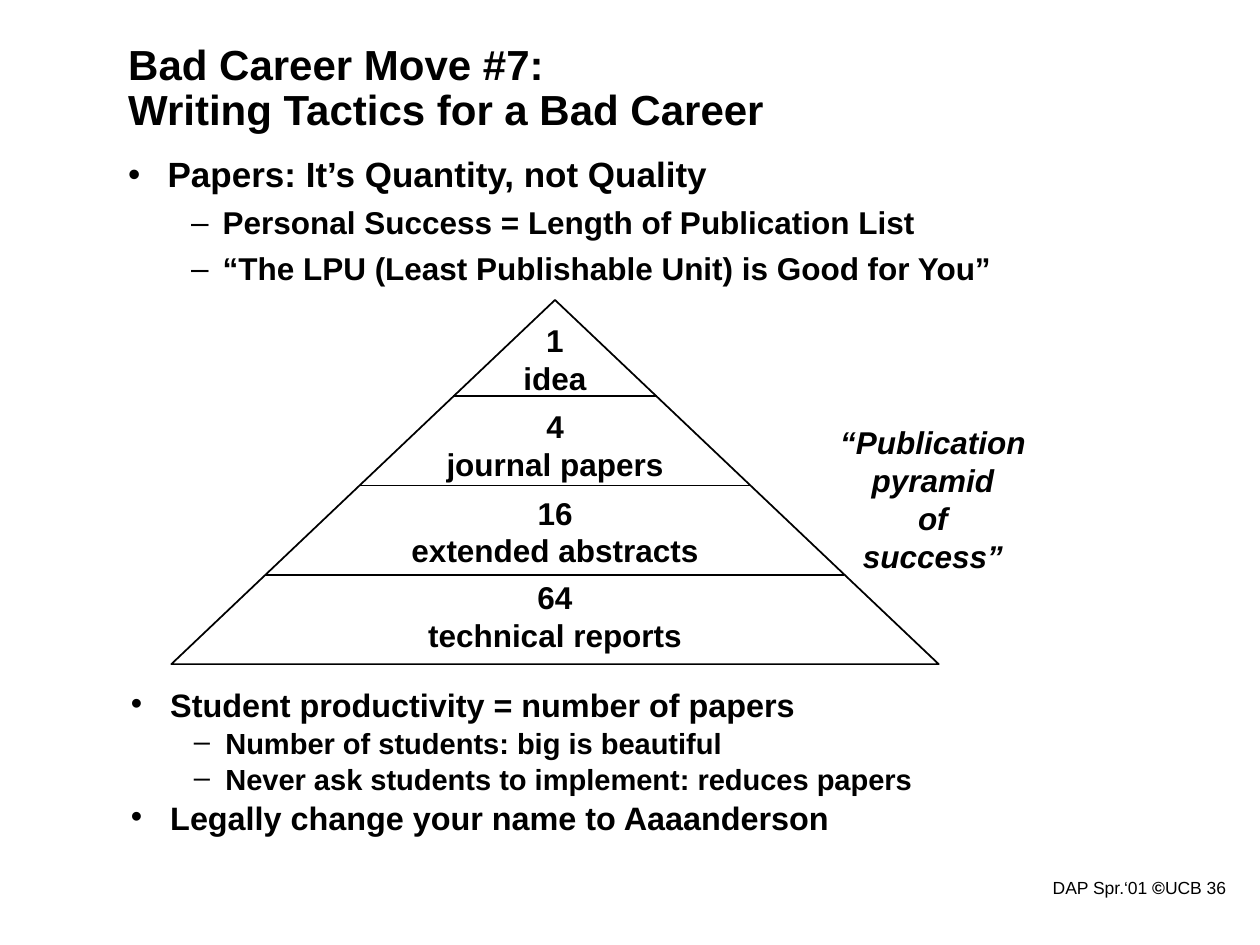
import pptx
import pptx.util
import pptx.dml.color
import pptx.enum.text
import pptx.enum.shapes
import pptx.oxml
import pptx.oxml.xmlchemy

Pt = pptx.util.Pt
Align = pptx.enum.text.PP_ALIGN
Anchor = pptx.enum.text.MSO_ANCHOR
Fit = pptx.enum.text.MSO_AUTO_SIZE
COLORS = {"ink": "000000", "paper": "FFFFFF"}
LEVELS = [
    {"mark": "•", "left": 22.5, "hang": -22.5, "gap": 7.5},
    {"mark": "–", "left": 54, "hang": -18, "gap": 6.8},
]
PEAK = {"left": 97.9, "top": 171.4, "width": 438.5, "height": 208.1}
TIERS = [
    (["1", "idea"], 180, 52),
    (["4", "journal papers"], 229, 142),
    (["16", "extended abstracts"], 278.6, 182),
    (["64", "technical reports"], 326.9, 164),
]
CUTS = [226.5, 277.4, 328.4]


def color(name):
    return pptx.dml.color.RGBColor.from_string(COLORS[name])


def write(para, text, size=18, bold=True, italic=False):
    run = para.add_run()
    run.text = text
    font = run.font
    font.name = "Arial"
    font.size = Pt(size)
    font.bold = bold
    font.italic = italic
    font.color.rgb = color("ink")


def add_box(slide, left, top, width, height, wrap=True):
    box = slide.shapes.add_textbox(Pt(left), Pt(top), Pt(width), Pt(height))
    frame = box.text_frame
    frame.word_wrap = wrap
    if not wrap:
        frame.auto_size = Fit.SHAPE_TO_FIT_TEXT
    return frame


def next_para(frame, index):
    return frame.add_paragraph() if index else frame.paragraphs[0]


def add_title(slide, lines):
    frame = add_box(slide, 66.2, 36, 594, 30.2)
    frame.vertical_anchor = Anchor.MIDDLE
    para = frame.paragraphs[0]
    para.line_spacing = 0.9
    for index, line in enumerate(lines):
        if index:
            para.add_line_break()
        write(para, line, size=24)


def add_label(slide, lines, left, top, width, height, italic=False):
    frame = add_box(slide, left, top, width, height, wrap=False)
    for index, line in enumerate(lines):
        para = next_para(frame, index)
        para.alignment = Align.CENTER
        write(para, line, italic=italic)


def set_mark(para, style):
    props = para._p.get_or_add_pPr()
    props.set("marL", str(Pt(style["left"])))
    props.set("indent", str(Pt(style["hang"])))
    for tag, key, value in (("a:buFont", "typeface", "Arial"),
                            ("a:buChar", "char", style["mark"])):
        item = pptx.oxml.xmlchemy.OxmlElement(tag)
        item.set(key, value)
        props.append(item)


def add_list(slide, rows, left, top, width, height, sizes, pitch):
    frame = add_box(slide, left, top, width, height)
    for index, (level, text) in enumerate(rows):
        para = next_para(frame, index)
        para.level = level
        para.line_spacing = pitch
        para.space_before = Pt(LEVELS[level]["gap"])
        set_mark(para, LEVELS[level])
        write(para, text, size=sizes[level])


def set_line(shape):
    shape.line.color.rgb = color("ink")
    shape.line.width = Pt(1)


def add_rule(slide, start, end, y):
    kind = pptx.enum.shapes.MSO_CONNECTOR.STRAIGHT
    rule = slide.shapes.add_connector(kind, Pt(start), Pt(y), Pt(end), Pt(y))
    set_line(rule)
    rule._element.spPr.append(pptx.oxml.xmlchemy.OxmlElement("a:effectLst"))


def add_peak(slide):
    kind = pptx.enum.shapes.MSO_SHAPE.ISOSCELES_TRIANGLE
    sides = [Pt(PEAK[key]) for key in ("left", "top", "width", "height")]
    peak = slide.shapes.add_shape(kind, *sides)
    peak.shadow.inherit = False
    peak.fill.solid()
    peak.fill.fore_color.rgb = color("paper")
    set_line(peak)
    mid = PEAK["left"] + PEAK["width"] / 2
    for y in CUTS:
        half = PEAK["width"] / 2 * (y - PEAK["top"]) / PEAK["height"]
        add_rule(slide, mid - half, mid + half, y)
    for lines, top, width in TIERS:
        add_label(slide, lines, mid - width / 2, top, width, 50.4)


def add_footer(slide):
    frame = add_box(slide, 559.4, 497.5, 148.3, 18.7, wrap=False)
    para = frame.paragraphs[0]
    para.alignment = Align.RIGHT
    for text, bold in (("DAP Spr.‘01 ", False), ("©", True), ("UCB 36", False)):
        write(para, text, size=10, bold=bold)


def main():
    deck = pptx.Presentation()
    deck.slide_width, deck.slide_height = Pt(720), Pt(540)
    slide = deck.slides.add_slide(deck.slide_layouts[6])
    add_footer(slide)
    add_title(slide, ["Bad Career Move #7:", "Writing Tactics for a Bad Career"])
    add_list(slide, [
        (0, "Student productivity = number of papers"),
        (1, "Number of students: big is beautiful"),
        (1, "Never ask students to implement: reduces papers"),
        (0, "Legally change your name to Aaaanderson"),
    ], 67.7, 393.8, 611.3, 92.2, sizes=(18.5, 16.6), pitch=0.7)
    add_peak(slide)
    add_label(slide, ["“Publication ", "pyramid ", "of ", "success” "],
              473, 238.3, 125.3, 93.6, italic=True)
    add_list(slide, [
        (0, "Papers: It’s Quantity, not Quality"),
        (1, "Personal Success = Length of Publication List"),
        (1, "“The LPU (Least Publishable Unit) is Good for You”"),
    ], 66.2, 86.4, 621.4, 110.2, sizes=(20, 18), pitch=0.9)
    deck.save("out.pptx")


if __name__ == "__main__":
    main()
